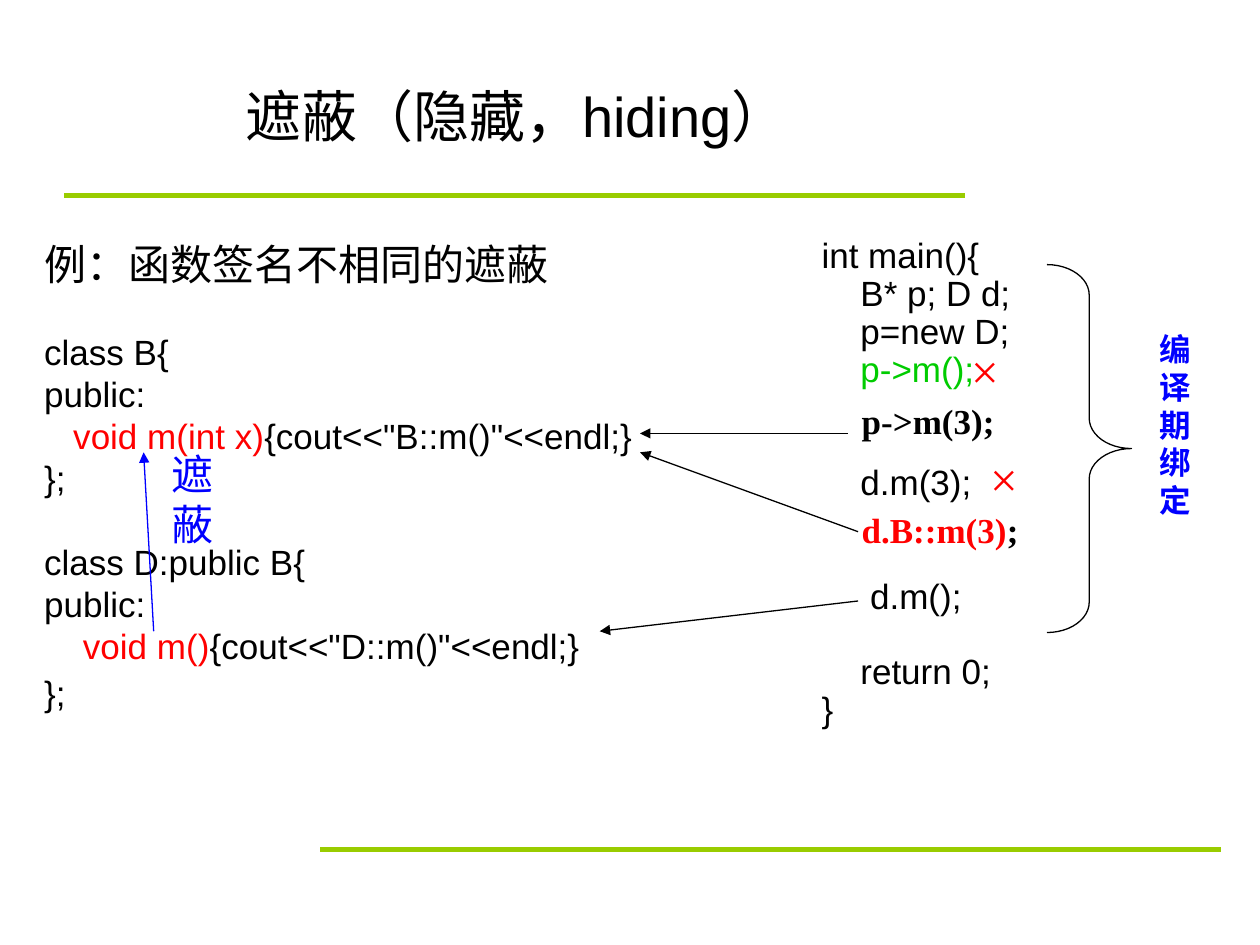
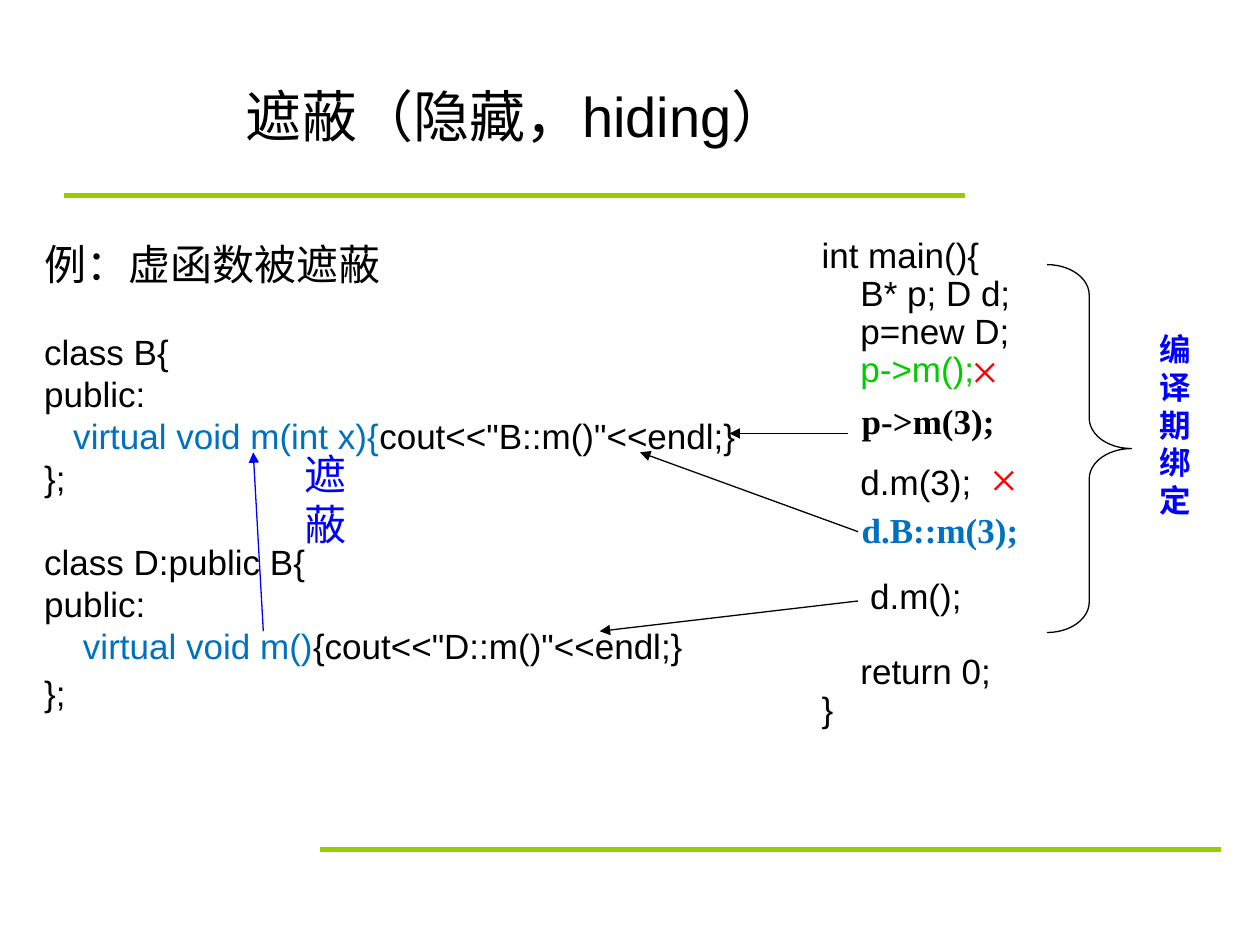
"""Build two slides on name hiding in C++ classes."""
from typing import NamedTuple

from lxml import etree
from pptx import Presentation
from pptx.dml.color import RGBColor
from pptx.enum import shapes, text
from pptx.oxml import ns
from pptx.util import Inches, Pt

BLACK = RGBColor(0x00, 0x00, 0x00)
RED = RGBColor(0xFF, 0x00, 0x00)
BLUE = RGBColor(0x00, 0x00, 0xFF)
AZURE = RGBColor(0x00, 0x70, 0xC0)
GREEN = RGBColor(0x00, 0xCC, 0x00)
LIME = RGBColor(0x99, 0xCC, 0x00)

SANS, SERIF, CJK = "Arial", "Times New Roman", "Noto Sans CJK SC"
LEADING = 1.2
CODE_SIZE = 20
TIGHT = 0.9
CODE_LINE = CODE_SIZE * LEADING
MAIN_LINE = CODE_LINE * TIGHT


class Run(NamedTuple):
    """A run of text in one colour."""
    text: str
    color: RGBColor = BLACK


class Line(NamedTuple):
    """A paragraph with its size, space before and line scale."""
    runs: list[Run]
    size: float = CODE_SIZE
    before: float = 0
    scale: float = 1


class Label(NamedTuple):
    """A free text box: its runs, place and format."""
    runs: list[Run]
    at: tuple[float, float, float, float]
    size: float
    font: str
    bold: bool = False
    wrap: bool = False


class Arrow(NamedTuple):
    """A straight line between two points, in inches."""
    start: tuple[float, float]
    end: tuple[float, float]
    color: RGBColor = BLACK
    width: float = 0.75
    head: bool = True


class Example(NamedTuple):
    """What differs between the slides."""
    heading: str
    base: list[Run]
    derived: list[Run]
    qualified_call: list[Run]
    hide_x: float
    hide_label: tuple[float, float, float, float]
    call_end_x: float


TITLE = "遮蔽（隐藏，hiding）"
RULES = [
    Arrow((0.51, 1.55), (7.66, 1.55), LIME, 3, False),
    Arrow((2.54, 6.74), (9.69, 6.74), LIME, 3, False),
]
MAIN_CODE = [
    Line([Run(code, color)], before=gap * MAIN_LINE, scale=TIGHT)
    for code, color, gap in (
        ("int main(){", BLACK, 0),
        ("    B* p; D d;", BLACK, 0),
        ("    p=new D;", BLACK, 0),
        ("    p->m();", GREEN, 0),
        ("    d.m(3);", BLACK, 2),
        ("     d.m();", BLACK, 2),
        ("    return 0;", BLACK, 1),
        ("}", BLACK, 0),
    )
]
EXAMPLES = [
    Example(
        "例：函数签名不相同的遮蔽",
        [Run("   void m(int x)", RED), Run('{cout<<"B::m()"<<endl;}')],
        [Run("    void m()", RED), Run('{cout<<"D::m()"<<endl;}')],
        [Run("d.B::m(3)", RED), Run(";")],
        1.14, (1.26, 3.51, 0.75, 0.9), 5.08),
    Example(
        "例：虚函数被遮蔽",
        [Run("   virtual void m(int x){", AZURE), Run('cout<<"B::m()"<<endl;}')],
        [Run("    virtual void m()", AZURE), Run('{cout<<"D::m()"<<endl;}')],
        [Run("d.B::m(3);", AZURE)],
        2.01, (2.32, 3.51, 0.47, 0.9), 5.79),
]


def write(tf, lines: list[Line], *, font: str = SANS, bold: bool = False,
          wrap: bool = True) -> None:
    """Fill a text frame with unbulleted, left-aligned lines."""
    tf.word_wrap = wrap
    tf.auto_size = text.MSO_AUTO_SIZE.NONE
    tf.vertical_anchor = text.MSO_ANCHOR.TOP
    for i, line in enumerate(lines):
        p = tf.add_paragraph() if i else tf.paragraphs[0]
        p.alignment = text.PP_ALIGN.LEFT
        p.line_spacing = Pt(line.size * LEADING * line.scale)
        p.space_before = Pt(line.before)
        pPr = p._p.get_or_add_pPr()
        pPr.set("marL", "0")
        pPr.set("indent", "0")
        etree.SubElement(pPr, ns.qn("a:buNone"))
        for run in line.runs:
            r = p.add_run()
            r.text = run.text
            r.font.size = Pt(line.size)
            r.font.name = font
            r.font.bold = bold
            r.font.color.rgb = run.color
            etree.SubElement(r._r.get_or_add_rPr(), ns.qn("a:ea"), typeface=CJK)


def place(sp, left: float, top: float, width: float, height: float) -> None:
    """Move and size a shape, in inches."""
    sp.left, sp.top = Inches(left), Inches(top)
    sp.width, sp.height = Inches(width), Inches(height)


def add_label(s, label: Label) -> None:
    """Draw a free text box."""
    sp = s.shapes.add_textbox(*map(Inches, label.at))
    write(sp.text_frame, [Line(label.runs, label.size)],
          font=label.font, bold=label.bold, wrap=label.wrap)


def add_arrow(s, arrow: Arrow) -> None:
    """Draw a line, with an arrowhead at its end if asked."""
    c = s.shapes.add_connector(shapes.MSO_CONNECTOR.STRAIGHT,
                               *map(Inches, arrow.start + arrow.end))
    c.line.color.rgb = arrow.color
    c.line.width = Pt(arrow.width)
    spPr = c.element.spPr
    if arrow.head:
        etree.SubElement(spPr.find(ns.qn("a:ln")), ns.qn("a:tailEnd"), type="triangle")
    etree.SubElement(spPr, ns.qn("a:effectLst"))


def add_brace(s) -> None:
    """Draw the brace that spans the calls in main."""
    sp = s.shapes.add_shape(shapes.MSO_SHAPE.RIGHT_BRACE, Inches(8.31), Inches(2.1),
                            Inches(0.67), Inches(2.92))
    sp.adjustments[0] = 0.36
    sp.adjustments[1] = 0.5
    sp.shadow.inherit = False
    sp.fill.background()
    sp.line.color.rgb = BLACK
    sp.line.width = Pt(0.75)


def class_code(ex: Example) -> list[Line]:
    """Return the heading and the two class definitions."""
    return [
        Line([Run(ex.heading)], 24),
        Line([Run("class B{")], before=CODE_LINE),
        Line([Run("public:")]),
        Line(ex.base),
        Line([Run("};")]),
        Line([Run("class D:public B{")], before=CODE_LINE),
        Line([Run("public:")]),
        Line(ex.derived),
        Line([Run("};")], before=5, scale=TIGHT),
    ]


def add_example(prs, ex: Example) -> None:
    """Add one slide for an example."""
    s = prs.slides.add_slide(prs.slide_layouts[3])
    title, classes, main_code = s.placeholders
    place(title, 1.85, 0.6, 7.65, 0.8)
    write(title.text_frame, [Line([Run(TITLE)], 32)])
    place(classes, 0.25, 1.84, 6.25, 4.24)
    write(classes.text_frame, class_code(ex))
    place(main_code, 6.42, 1.84, 2.75, 4)
    write(main_code.text_frame, MAIN_CODE)

    for arrow in RULES + [
        Arrow((ex.hide_x + 0.08, 5.01), (ex.hide_x, 3.59), BLUE),
        Arrow((6.73, 3.44), (ex.call_end_x, 3.44)),
        Arrow((6.81, 4.22), (5.08, 3.59)),
        Arrow((6.81, 4.77), (4.76, 5.01)),
    ]:
        add_arrow(s, arrow)
    add_brace(s)

    cross = [Run("×", RED)]
    for label in (
        Label([Run("遮蔽", BLUE)], ex.hide_label, 24, CJK, wrap=True),
        Label(cross, (7.61, 2.65, 0.42, 0.57), 28, SERIF),
        Label(cross, (7.76, 3.51, 0.42, 0.57), 28, SERIF),
        Label([Run("p->m(3);")], (6.74, 3.12, 1.25, 0.44), 20, SERIF, bold=True),
        Label(ex.qualified_call, (6.74, 3.99, 1.44, 0.44), 20, SERIF, bold=True),
        Label([Run("编译期绑定", BLUE)], (9.1, 2.57, 0.58, 1.6), 18, CJK,
              bold=True, wrap=True),
    ):
        add_label(s, label)


def main() -> None:
    """Build and save the presentation."""
    prs = Presentation()
    prs.slide_width, prs.slide_height = Inches(10), Inches(7.5)
    for ex in EXAMPLES:
        add_example(prs, ex)
    prs.save("out.pptx")


if __name__ == "__main__":
    main()
